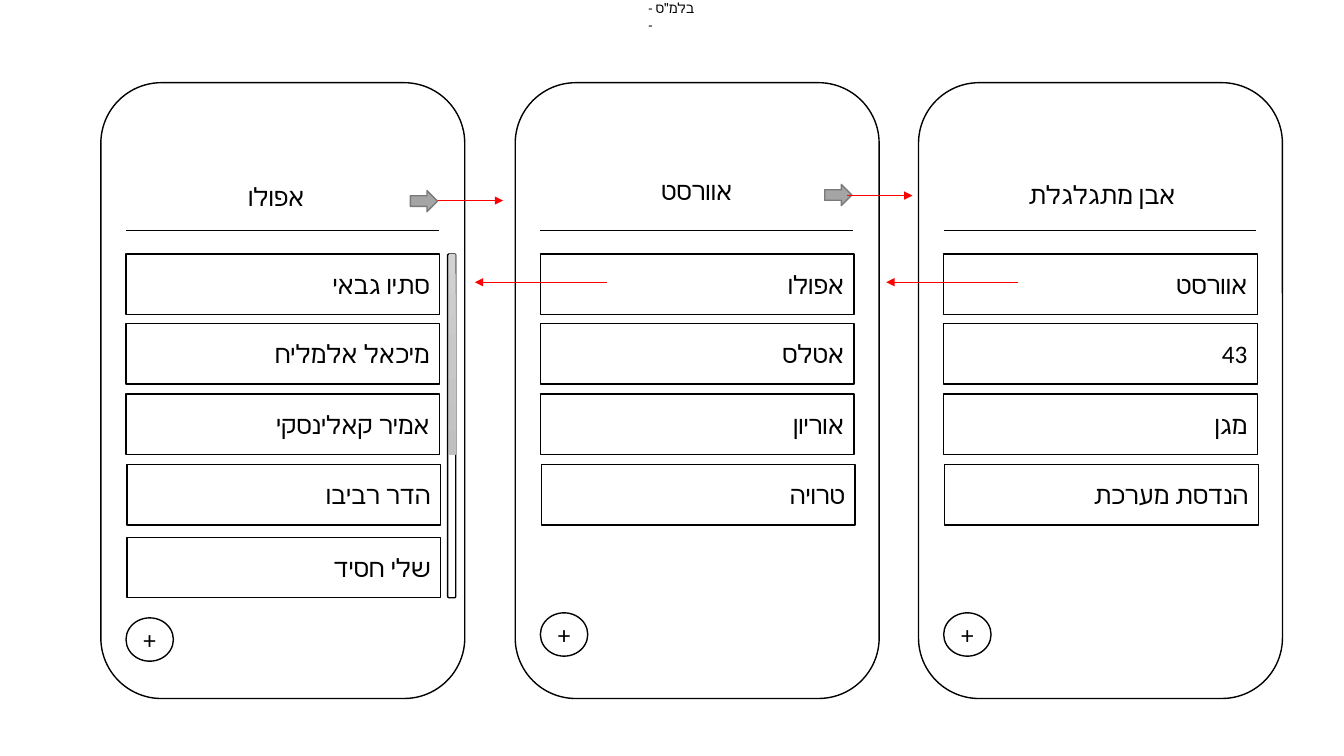
import copy
from dataclasses import dataclass
from typing import Optional

import lxml.etree
import pptx
import pptx.dml.color
import pptx.enum.shapes
import pptx.enum.text
import pptx.oxml.ns
import pptx.shapes.autoshape
import pptx.shapes.connector
import pptx.text.text
import pptx.util

Inches = pptx.util.Inches
Pt = pptx.util.Pt
Color = pptx.dml.color.RGBColor
Kind = pptx.enum.shapes.MSO_SHAPE
Align = pptx.enum.text.PP_ALIGN
Anchor = pptx.enum.text.MSO_ANCHOR
qn = pptx.oxml.ns.qn

BLACK = Color(0x00, 0x00, 0x00)
WHITE = Color(0xFF, 0xFF, 0xFF)
RED = Color(0xFF, 0x00, 0x00)
GRAY = Color(0xA5, 0xA5, 0xA5)
EDGE = Color(0x7A, 0x7A, 0x7A)
THUMB = (Color(0xD2, 0xD2, 0xD2), Color(0xC8, 0xC8, 0xC8), Color(0xC0, 0xC0, 0xC0))

TOPS = (2.52, 3.21, 3.91, 4.61, 5.33)  # tops of the list rows


@dataclass
class Box:
    left: float
    top: float
    width: float
    height: float

    def emu(self) -> tuple[int, ...]:
        return tuple(Inches(n) for n in (self.left, self.top, self.width, self.height))


@dataclass
class Phone:
    left: float
    title: str
    head: Box
    rows: tuple[str, ...]
    plus: float
    back: Optional[float] = None
    scroll: bool = False


@dataclass
class Arrow:
    start: float
    end: float
    top: float


PHONES = (
    Phone(9.11, "אבן מתגלגלת", Box(9.38, 1.73, 3.1, 0.4),
          ("אוורסט", "43", "מגן", "הנדסת מערכת"), 6.08),
    Phone(5.11, "אוורסט", Box(5.36, 1.69, 3.1, 0.4),
          ("אפולו", "אטלס", "אוריון", "טרויה"), 6.08, back=1.83),
    Phone(1, "אפולו", Box(1.19, 1.75, 3.1, 0.4),
          ("סתיו גבאי", "מיכאל אלמליח", "אמיר קאלינסקי", "הדר רביבו", "שלי חסיד"),
          6.13, back=1.89, scroll=True),
)
ARROWS = (
    Arrow(10.1, 8.79, 2.8),
    Arrow(6.02, 4.71, 2.8),
    Arrow(4.34, 4.99, 1.99),
    Arrow(8.4, 9.05, 1.94),
)

deck = pptx.Presentation()
deck.slide_width = Inches(13.33)
deck.slide_height = Inches(7.5)
slide = deck.slides.add_slide(deck.slide_layouts[6])


def write(frame: pptx.text.text.TextFrame, text: str, *, size: float = 18,
          align: Align = Align.LEFT, anchor: Anchor = Anchor.TOP,
          rtl: bool = False, inset: bool = True) -> None:
    frame.word_wrap = True
    frame.vertical_anchor = anchor
    if not inset:
        frame.margin_left = frame.margin_right = 0
        frame.margin_top = frame.margin_bottom = 0
    para = frame.paragraphs[0]
    para.alignment = align
    if rtl:
        para._p.get_or_add_pPr().set("rtl", "1")
    run = para.add_run()
    run.text = text
    run.font.size = Pt(size)
    run.font.name = "Calibri"
    run.font.color.rgb = BLACK


def label(box: Box, text: str, **style) -> None:
    frame = slide.shapes.add_textbox(*box.emu()).text_frame
    write(frame, text, **style)
    frame.auto_size = pptx.enum.text.MSO_AUTO_SIZE.SHAPE_TO_FIT_TEXT


def draw(kind: Kind, box: Box, fill: Color = WHITE,
         edge: Color = BLACK) -> pptx.shapes.autoshape.Shape:
    shape = slide.shapes.add_shape(kind, *box.emu())
    shape.shadow.inherit = False
    shape.fill.solid()
    shape.fill.fore_color.rgb = fill
    shape.line.color.rgb = edge
    shape.line.width = Pt(1)
    return shape


def line(start: float, end: float, top: float, color: Color = BLACK,
         head: bool = False) -> pptx.shapes.connector.Connector:
    link = slide.shapes.add_connector(
        pptx.enum.shapes.MSO_CONNECTOR.STRAIGHT,
        Inches(start), Inches(top), Inches(end), Inches(top))
    link.line.color.rgb = color
    link.line.width = Pt(0.5)
    props = link.element.spPr
    if head:
        tip = lxml.etree.SubElement(props.find(qn("a:ln")), qn("a:tailEnd"))
        tip.set("type", "triangle")
    lxml.etree.SubElement(props, qn("a:effectLst"))
    return link


def scroll(left: float) -> None:
    draw(Kind.ROUNDED_RECTANGLE, Box(left, 2.52, 0.08, 3.41))
    thumb = draw(Kind.ROUNDED_RECTANGLE, Box(left + 0.01, 2.52, 0.07, 1.99))
    thumb.line.fill.background()
    thumb.fill.gradient()
    thumb.fill.gradient_angle = 270
    # A third stop goes between the two default ones
    stops = thumb.element.spPr.find(qn("a:gradFill")).find(qn("a:gsLst"))
    stops.insert(1, copy.deepcopy(stops[0]))
    for stop, place, color in zip(thumb.fill.gradient_stops, (0, 0.5, 1), THUMB):
        stop.position = place
        stop.color.rgb = color


def screen(phone: Phone) -> None:
    left = phone.left + 0.25
    draw(Kind.ROUNDED_RECTANGLE, Box(phone.left, 0.82, 3.61, 6.11))
    # Header
    line(left, left + 3.1, 2.29)
    label(phone.head, phone.title, align=Align.CENTER, rtl=True)
    if phone.back is not None:
        draw(Kind.RIGHT_ARROW, Box(phone.left + 3.07, phone.back, 0.27, 0.21), GRAY, EDGE)
    # List
    for index, (top, text) in enumerate(zip(TOPS, phone.rows)):
        shift = 0.01 if index > 2 else 0
        row = draw(Kind.RECTANGLE, Box(left + shift, top, 3.11, 0.6))
        write(row.text_frame, text, align=Align.RIGHT, anchor=Anchor.MIDDLE)
    if phone.scroll:
        scroll(phone.left + 3.44)
    # Add button
    plus = draw(Kind.OVAL, Box(left, phone.plus, 0.47, 0.43))
    write(plus.text_frame, "+", align=Align.CENTER, anchor=Anchor.MIDDLE)


def main() -> None:
    label(Box(6.43, 0, 0.51, 0.17), '- בלמ"ס -', size=10, inset=False)
    for phone in PHONES:
        screen(phone)
    # Navigation between screens
    for arrow in ARROWS:
        line(arrow.start, arrow.end, arrow.top, RED, head=True)
    deck.save("out.pptx")


if __name__ == "__main__":
    main()
